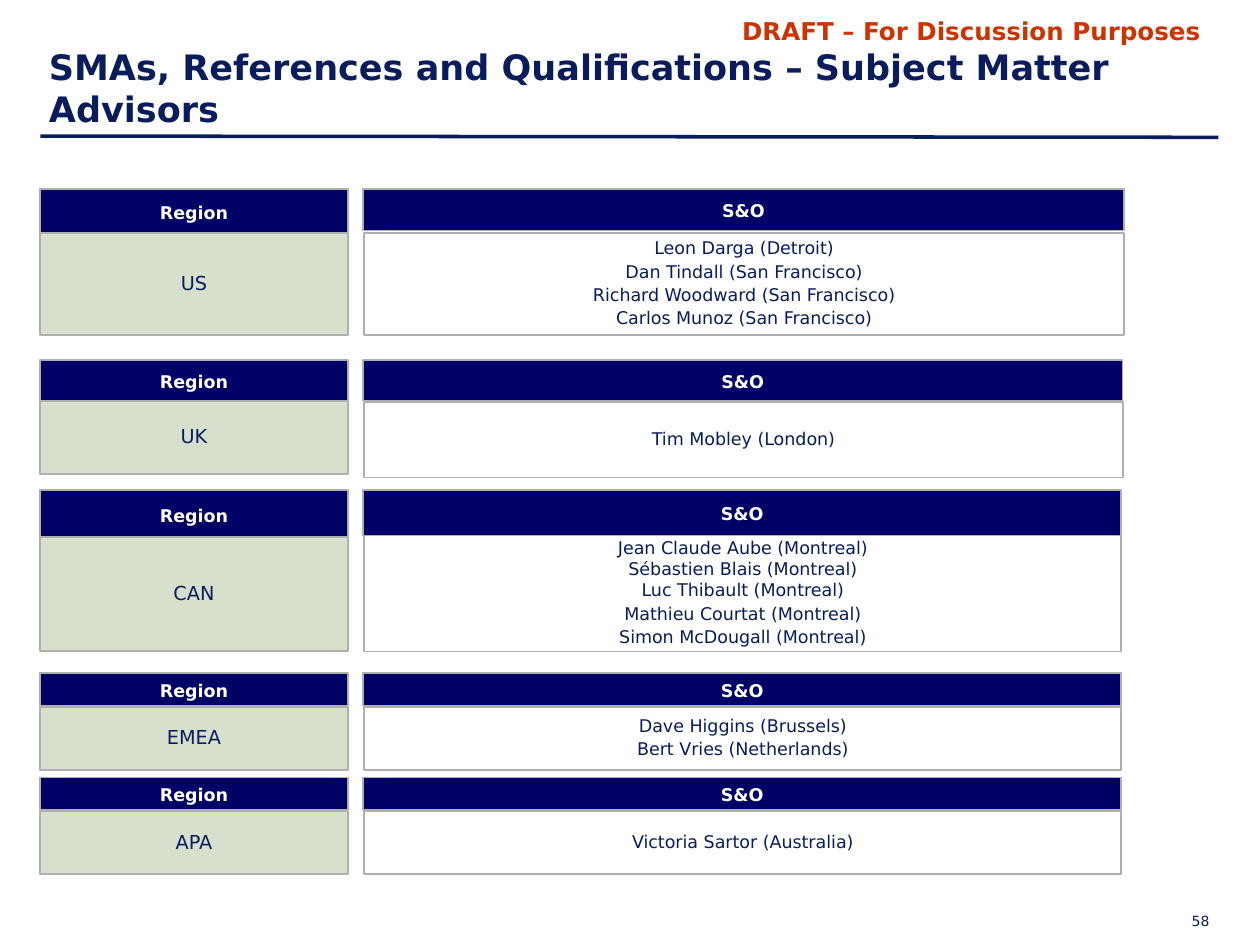
from dataclasses import dataclass

from lxml.etree import SubElement
from pptx import Presentation
from pptx.dml.color import RGBColor as Color
from pptx.enum.shapes import MSO_CONNECTOR as Connector, MSO_SHAPE as Shape
from pptx.enum.text import MSO_ANCHOR as Anchor, PP_ALIGN as Align
from pptx.oxml.ns import qn
from pptx.util import Inches, Pt

COLUMNS, ROWS = 1000, 750
WIDTH, HEIGHT = Inches(10), Inches(7.5)


@dataclass(frozen=True)
class Theme:
    """Colours and type sizes of the slide."""
    font: str = "DejaVu Sans"
    ink: str = "091D5D"
    alert: str = "CC3300"
    header: str = "000066"
    header_text: str = "FFFFFF"
    region: str = "D6E0CC"
    border: str = "AFAFAF"
    title_size: int = 20
    draft_size: int = 14
    region_size: int = 11
    table_size: int = 10
    page_size: int = 8


@dataclass(frozen=True)
class Band:
    """One region: grid rows for its boxes, and its advisors."""
    region: str
    top: int
    header_heights: tuple
    body_tops: tuple
    bottoms: tuple
    right: int
    advisors: tuple
    tight_lines: tuple = ()


THEME = Theme()
REGION_LEFT, REGION_WIDTH, ADVISOR_LEFT = 32, 244, 288
BANDS = (
    Band("US", 150, (35, 33), (185, 185), (266, 266), 892,
         ("Leon Darga (Detroit)", "Dan Tindall (San Francisco)",
          "Richard Woodward (San Francisco)", "Carlos Munoz (San Francisco)")),
    Band("UK", 286, (32, 32), (318, 319), (376, 379), 891,
         ("Tim Mobley (London)",)),
    Band("CAN", 389, (38, 36), (426, 425), (517, 517), 890,
         ("Jean Claude Aube (Montreal)", "Sébastien Blais (Montreal)",
          "Luc Thibault (Montreal)", "Mathieu Courtat (Montreal)",
          "Simon McDougall (Montreal)"), (1, 2)),
    Band("EMEA", 534, (26, 26), (561, 561), (611, 611), 890,
         ("Dave Higgins (Brussels)", "Bert Vries (Netherlands)")),
    Band("APA", 617, (26, 26), (644, 644), (694, 694), 890,
         ("Victoria Sartor (Australia)",)),
)


def across(columns):
    """Turn grid columns into a length."""
    return round(WIDTH * columns / COLUMNS)


def down(rows):
    """Turn grid rows into a length."""
    return round(HEIGHT * rows / ROWS)


def place(left, top, width, height):
    """Turn a grid area into left, top, width and height."""
    return across(left), down(top), across(width), down(height)


def write(box, lines, size, color, bold=False, align=Align.CENTER,
          anchor=Anchor.MIDDLE, insets=(10, 10, 10, 10)):
    """Fill a box with paragraphs of one style and return them."""
    frame = box.text_frame
    frame.word_wrap = True
    frame.vertical_anchor = anchor
    frame.margin_left, frame.margin_right = across(insets[0]), across(insets[2])
    frame.margin_top, frame.margin_bottom = down(insets[1]), down(insets[3])
    frame.text = "\n".join(lines)
    for para in frame.paragraphs:
        para.alignment = align
        para.font.name = THEME.font
        para.font.size = Pt(size)
        para.font.bold = bold
        para.font.color.rgb = Color.from_string(color)
    return frame.paragraphs


def add_label(page, area, text, size, color, **style):
    """Add a text box holding one paragraph."""
    box = page.shapes.add_textbox(*place(*area))
    write(box, [text], size, color, **style)


def add_cell(page, area, lines, size, color, fill=None, tight_lines=(), **style):
    """Add a bordered rectangle with centred lines."""
    box = page.shapes.add_shape(Shape.RECTANGLE, *place(*area))
    box.shadow.inherit = False
    box.line.color.rgb = Color.from_string(THEME.border)
    box.line.width = Pt(1)
    if fill:
        box.fill.solid()
        box.fill.fore_color.rgb = Color.from_string(fill)
    else:
        box.fill.background()
    for index, para in enumerate(write(box, lines, size, color, **style)):
        para.line_spacing = 1.0 if index in tight_lines else 1.1


def add_header(page, area, text):
    """Add a dark column heading."""
    add_cell(page, area, [text], THEME.table_size, THEME.header_text,
             THEME.header, bold=True)


def add_body(page, area, lines, size, fill=None, tight_lines=()):
    """Add a cell below a column heading."""
    add_cell(page, area, lines, size, THEME.ink, fill, tight_lines,
             insets=(10, 6, 10, 10))


def add_band(page, band):
    """Add the region column and the advisor column of one band."""
    region_header, advisor_header = band.header_heights
    region_top, advisor_top = band.body_tops
    region_bottom, advisor_bottom = band.bottoms
    width = band.right - ADVISOR_LEFT
    add_header(page, (REGION_LEFT, band.top, REGION_WIDTH, region_header), "Region")
    add_body(page, (REGION_LEFT, region_top, REGION_WIDTH, region_bottom - region_top),
             [band.region], THEME.region_size, THEME.region)
    add_header(page, (ADVISOR_LEFT, band.top, width, advisor_header), "S&O")
    add_body(page, (ADVISOR_LEFT + 1, advisor_top, width - 1, advisor_bottom - advisor_top),
             band.advisors, THEME.table_size, tight_lines=band.tight_lines)


def add_rule(page, start, end):
    """Add the line under the title."""
    rule = page.shapes.add_connector(
        Connector.STRAIGHT, across(start[0]), down(start[1]), across(end[0]), down(end[1]))
    rule.line.color.rgb = Color.from_string(THEME.ink)
    rule.line.width = Pt(2)
    SubElement(rule._element.spPr, qn("a:effectLst"))


def main():
    """Build and save the slide."""
    deck = Presentation()
    deck.slide_width, deck.slide_height = WIDTH, HEIGHT
    page = deck.slides.add_slide(deck.slide_layouts[6])
    add_label(page, (860, 724, 100, 15), "58", THEME.page_size, THEME.ink,
              align=Align.RIGHT, anchor=Anchor.TOP, insets=(0, 0, 0, 0))
    add_rule(page, (32, 108), (967, 109))
    add_label(page, (567, 8, 408, 34), "DRAFT – For Discussion Purposes",
              THEME.draft_size, THEME.alert, bold=True, anchor=Anchor.TOP,
              insets=(10, 5, 10, 5))
    for band in BANDS:
        add_band(page, band)
    add_label(page, (29, 25, 943, 83),
              "SMAs, References and Qualifications – Subject Matter Advisors",
              THEME.title_size, THEME.ink, bold=True, align=Align.LEFT,
              anchor=Anchor.BOTTOM, insets=(10, 5, 10, 5))
    deck.save("out.pptx")


if __name__ == "__main__":
    main()
